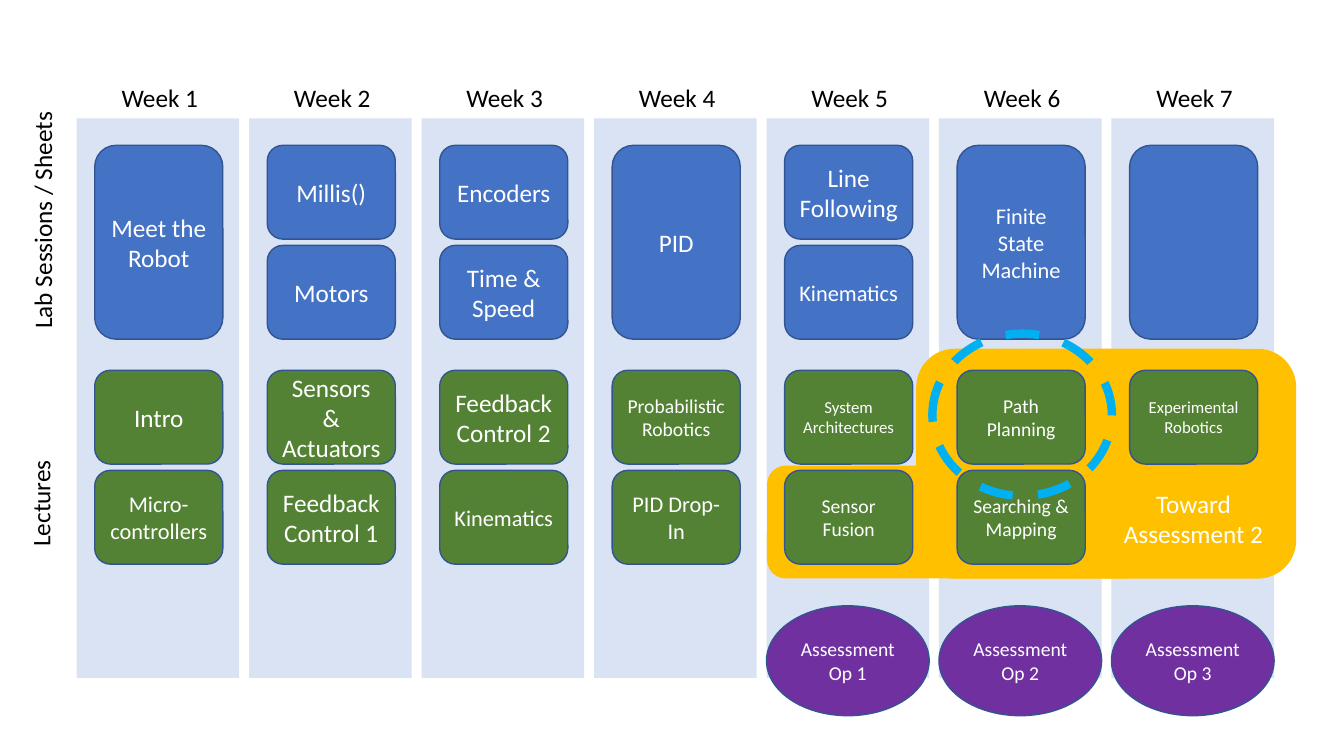
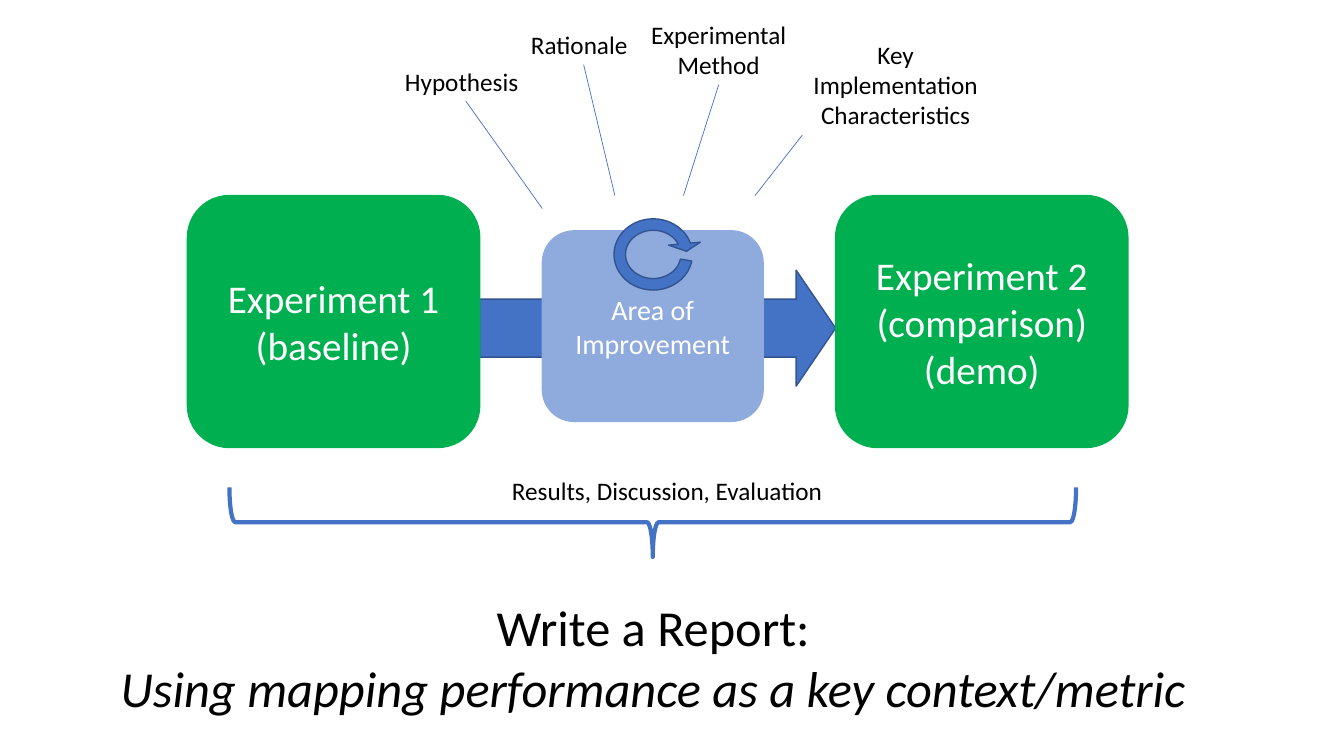
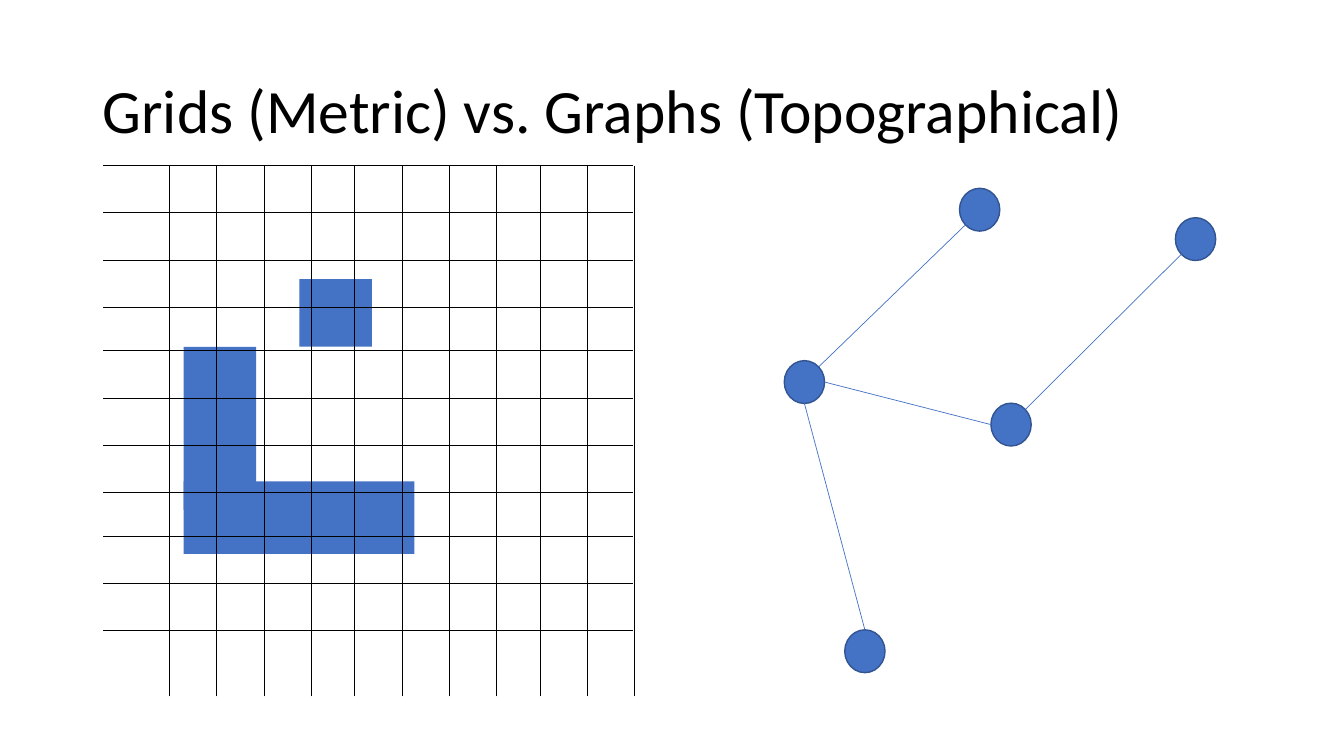
import dataclasses
import math
import typing

import lxml.etree
import pptx
import pptx.enum.dml
import pptx.enum.shapes
import pptx.enum.text
import pptx.oxml.ns
import pptx.util

Pt = pptx.util.Pt
Kind = pptx.enum.shapes.MSO_SHAPE
Align = pptx.enum.text.PP_ALIGN
Point = tuple[float, float]

HUES = {
    "black": "000000", "white": "FFFFFF", "blue": "4472C4", "edge": "325491",
    "pale": "DAE3F3", "soft": "8FAADC", "moss": "548235", "green": "00B050",
    "gold": "FFC000", "plum": "7030A0", "sky": "00B0F0",
}
FACE = {"name": "Calibri", "bold": False, "italic": False}


class Box(typing.NamedTuple):
    left: float
    top: float
    width: float
    height: float


@dataclasses.dataclass(frozen=True)
class Note:
    text: str
    size: float = 18
    hue: str = "white"
    align: Align = Align.CENTER


@dataclasses.dataclass(frozen=True)
class Week:
    labs: tuple[Note, ...]
    talks: tuple[Note, ...]


@dataclasses.dataclass(frozen=True)
class Label:
    note: Note
    box: Box
    start: Point
    end: Point


@dataclasses.dataclass(frozen=True)
class Edge:
    """A link between two nodes, with the angle at which it leaves each."""
    start: str
    turn: float
    end: str
    bend: float


def tint(name: str) -> pptx.dml.color.RGBColor:
    return pptx.dml.color.RGBColor.from_string(HUES[name])


def scale(values: typing.Iterable[float]) -> list[int]:
    return [Pt(value) for value in values]


def write(frame, note: Note) -> None:
    """Put each line of the note in a paragraph of its own."""
    for place, text in enumerate(note.text.split("\n")):
        para = frame.add_paragraph() if place else frame.paragraphs[0]
        para.alignment = note.align
        run = para.add_run()
        run.text = text
        for key, value in {**FACE, "size": Pt(note.size)}.items():
            setattr(run.font, key, value)
        run.font.color.rgb = tint(note.hue)


def draw(shapes, kind: Kind, box: Box, fill: str | None, edge: str | None = None,
         width: float = 1, note: Note | None = None):
    shape = shapes.add_shape(kind, *scale(box))
    shape.shadow.inherit = False
    if fill:
        shape.fill.solid()
        shape.fill.fore_color.rgb = tint(fill)
    else:
        shape.fill.background()
    if edge:
        shape.line.color.rgb = tint(edge)
        shape.line.width = Pt(width)
    else:
        shape.line.fill.background()
    if note:
        shape.text_frame.word_wrap = True
        shape.text_frame.vertical_anchor = pptx.enum.text.MSO_ANCHOR.MIDDLE
        write(shape.text_frame, note)
    return shape


def label(shapes, box: Box, note: Note, wrap: bool = False):
    item = shapes.add_textbox(*scale(box))
    item.text_frame.word_wrap = wrap
    item.text_frame.auto_size = pptx.enum.text.MSO_AUTO_SIZE.SHAPE_TO_FIT_TEXT
    write(item.text_frame, note)
    return item


def link(shapes, start: Point, end: Point, hue: str) -> None:
    line = shapes.add_connector(pptx.enum.shapes.MSO_CONNECTOR.STRAIGHT, *scale(start + end))
    line.line.color.rgb = tint(hue)
    line.line.width = Pt(0.5)
    lxml.etree.SubElement(line.element.spPr, pptx.oxml.ns.qn("a:effectLst"))


WEEKS = (
    Week((Note("Meet the Robot"),), (Note("Intro"), Note("Micro-controllers", 16))),
    Week((Note("Millis()"), Note("Motors")),
         (Note("Sensors & Actuators"), Note("Feedback Control 1"))),
    Week((Note("Encoders"), Note("Time & Speed")),
         (Note("Feedback Control 2"), Note("Kinematics", 16))),
    Week((Note("PID"),), (Note("Probabilistic Robotics", 14), Note("PID Drop-In", 16))),
    Week((Note("Line Following"), Note("Kinematics", 16)),
         (Note("System\nArchitectures", 12), Note("Sensor Fusion", 14))),
    Week((Note("Finite State Machine", 16),),
         (Note("Path Planning", 14), Note("Searching & Mapping", 14))),
    Week((Note(""),), (Note("Experimental Robotics", 12),)),
)
FIRST, PITCH, WIDE = 54.7, 123.2, 116.2
CARD_W, CARD_H, STEP = 91.5, 67, 71.5
LAB_TOP, TALK_TOP = 103.8, 264.5
SIDES = (("Lab Sessions / Sheets", 15.8, 41), ("Lectures", 14.4, 196.6))


def plan(slide) -> None:
    """Draw the timetable of seven weeks."""
    shapes = slide.shapes
    lefts = [FIRST + PITCH * place for place in range(len(WEEKS))]
    for count, left in enumerate(lefts, 1):
        draw(shapes, Kind.RECTANGLE, Box(left, 84.6, WIDE, 399.6), "pale")
        label(shapes, Box(left + 7.2, 55.1, 104.4, 28.8), Note(f"Week {count}", hue="black"), True)
    for text, left, top in SIDES:
        side = label(shapes, Box(left, top, 36, 200.9), Note(text, 18, "black", Align.LEFT), True)
        side.element.txBody.bodyPr.set("vert", "vert270")
    for count, left in enumerate(lefts[-3:], 1):
        draw(shapes, Kind.OVAL, Box(left, 432.7, WIDE, 78.5), "plum", "edge",
             note=Note(f"Assessment Op {count}", 14))
    zone = shapes.add_group_shape().shapes
    for box in (Box(654.5, 249.1, 271.4, 164.2), Box(547.9, 332.6, 271.4, 80.6)):
        draw(zone, Kind.ROUNDED_RECTANGLE, box, "gold")
    for left, week in zip(lefts, WEEKS):
        tall = CARD_H + STEP * (len(week.labs) == 1)
        for notes, top, high, fill in ((week.labs, LAB_TOP, tall, "blue"),
                                       (week.talks, TALK_TOP, CARD_H, "moss")):
            for row, note in enumerate(notes):
                box = Box(left + 13, top + STEP * row, CARD_W, high)
                draw(shapes, Kind.ROUNDED_RECTANGLE, box, fill, "edge",
                     note=note if note.text else None)
    label(shapes, Box(794.9, 344.9, 115.2, 51.1), Note("Toward\nAssessment 2"))
    ring = draw(shapes, Kind.OVAL, Box(666, 238.3, 128.2, 115.9), None, "sky", 6)
    ring.line.dash_style = pptx.enum.dml.MSO_LINE.DASH


LABELS = (
    Label(Note("Hypothesis", 18, "black", Align.LEFT), Box(282.2, 43.9, 96.5, 28.8),
          (332.6, 72), (387.4, 149)),
    Label(Note("Rationale", 18, "black", Align.LEFT), Box(372.2, 17.3, 84.2, 28.8),
          (416.9, 46.1), (439.2, 139.7)),
    Label(Note("Experimental\nMethod", 18, "black"), Box(457.2, 10.1, 112.3, 51.1),
          (513.4, 60.5), (488.2, 139.7)),
    Label(Note("Key\nImplementation\nCharacteristics", 18, "black"),
          Box(573.1, 24.5, 133.2, 72.7), (573.1, 96.5), (539.3, 139.7)),
)
TRIALS = (
    (133.9, "Experiment 1\n(baseline)"),
    (596.9, "Experiment 2\n(comparison)\n(demo)"),
)


def study(slide) -> None:
    """Draw the two experiments and the report that joins them."""
    shapes = slide.shapes
    arrow = draw(shapes, Kind.RIGHT_ARROW, Box(342.7, 193, 254.2, 82.8), "blue", "edge")
    arrow.adjustments[1] = 0.34
    for left, text in TRIALS:
        draw(shapes, Kind.ROUNDED_RECTANGLE, Box(left, 139.7, 208.8, 180), "green", "green",
             note=Note(text, 28))
    draw(shapes, Kind.ROUNDED_RECTANGLE, Box(387.4, 164.9, 157.7, 136.1), "soft", "soft",
         note=Note("Area of Improvement", 20))
    loop = draw(shapes, Kind.CIRCULAR_ARROW, Box(431.3, 149, 70.6, 65.5), "blue", "edge")
    for place, value in enumerate((0.125, 8.207, 204.577, 5.812, 0.174)):
        loop.adjustments[place] = value
    brace = draw(shapes, Kind.RIGHT_BRACE, Box(441.4, 70.6, 49.7, 604.8), None, "blue", 3)
    brace.rotation = 90
    for item in LABELS:
        link(shapes, item.start, item.end, "blue")
        label(shapes, item.box, item.note)
    label(shapes, Box(358.6, 336.2, 238.3, 28.8),
          Note("Results, Discussion, Evaluation", 18, "black", Align.LEFT))
    report = label(shapes, Box(74.9, 422.6, 783.4, 94.3), Note(
        "Write a Report:\nUsing mapping performance as a key context/metric", 36, "black"))
    report.text_frame.paragraphs[1].runs[0].font.italic = True


BLOCKS = (Box(131.2, 247.7, 51.8, 116.6), Box(131.2, 343.8, 164.9, 51.8),
          Box(213.8, 199.4, 51.8, 48.2))
NODE_W, NODE_H = 28.8, 30.6
NODES = {"top": (699.8, 149.8), "far": (854, 170.8), "mid": (722.2, 303.3),
         "hub": (574.6, 272.9), "low": (617.8, 465.2)}
EDGES = (Edge("low", -90, "hub", 90), Edge("hub", -45, "top", 135),
         Edge("hub", 0, "mid", 180), Edge("mid", -45, "far", 135))


def marks(first: float) -> list[float]:
    """Give 11 grid places: bands of four lines, with a tighter gap between bands."""
    return [first + 132.4 * (n // 4) + 33.8 * (n % 4) for n in range(11)]


def rim(name: str, angle: float) -> Point:
    """Find the point on the outline of a node at an angle in degrees."""
    x, y = NODES[name]
    turn = math.radians(angle)
    return x + NODE_W / 2 * math.cos(turn), y + NODE_H / 2 * math.sin(turn)


def maps(slide) -> None:
    """Draw a grid map beside a graph map."""
    shapes = slide.shapes
    title = shapes.title
    for key, value in zip(("left", "top", "width", "height"), scale((66.2, 28.8, 828, 104.4))):
        setattr(title, key, value)
    frame = title.text_frame
    for key, value in {"word_wrap": True, "auto_size": pptx.enum.text.MSO_AUTO_SIZE.NONE,
                       "vertical_anchor": pptx.enum.text.MSO_ANCHOR.MIDDLE}.items():
        setattr(frame, key, value)
    write(frame, Note("Grids (Metric) vs. Graphs (Topographical)", 44, "black", Align.LEFT))
    frame.paragraphs[0].line_spacing = 0.9
    for box in BLOCKS:
        draw(shapes, Kind.RECTANGLE, box, "blue")
    rows = shapes.add_group_shape().shapes
    for y in marks(118.1):
        link(rows, (73.6, y), (452.4, y), "black")
    cols = shapes.add_group_shape().shapes
    for x in marks(120.9):
        link(cols, (x, 497.5), (x, 118.8), "black")
    for x, y in NODES.values():
        draw(shapes, Kind.OVAL, Box(x - NODE_W / 2, y - NODE_H / 2, NODE_W, NODE_H),
             "blue", "edge")
    for edge in EDGES:
        link(shapes, rim(edge.start, edge.turn), rim(edge.end, edge.bend), "blue")


def main() -> None:
    deck = pptx.Presentation()
    deck.slide_width, deck.slide_height = scale((960, 540))
    blank, titled = deck.slide_layouts[6], deck.slide_layouts[5]
    for layout, paint in ((blank, plan), (blank, study), (titled, maps)):
        paint(deck.slides.add_slide(layout))
    deck.save("out.pptx")


if __name__ == "__main__":
    main()
